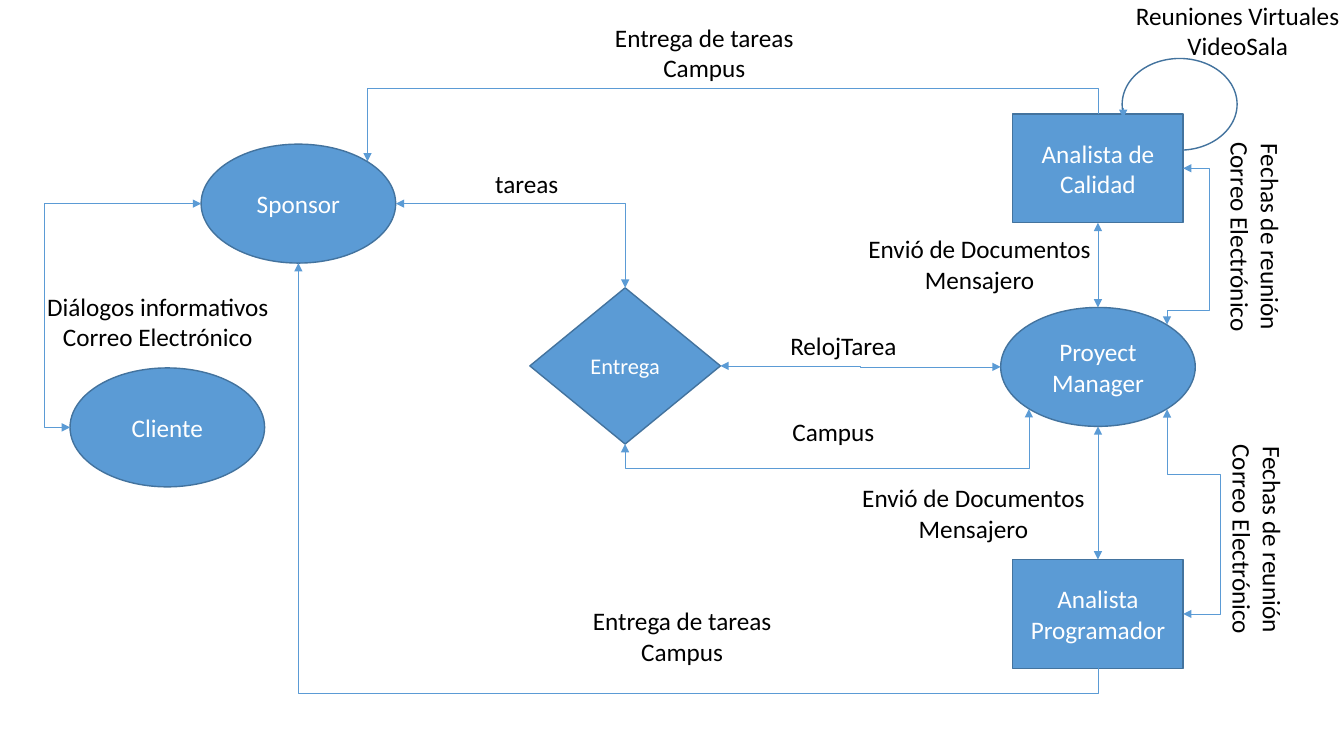
from pptx import Presentation, util as u
from pptx.dml.color import RGBColor
from pptx.enum import shapes, text
from pptx.oxml.ns import qn
from lxml import etree

BLUE, EDGE, WHITE, BLACK = "5B9BD5", "43739E", "FFFFFF", "000000"
OVAL, BOX, GEM = (shapes.MSO_SHAPE.OVAL, shapes.MSO_SHAPE.RECTANGLE,
                  shapes.MSO_SHAPE.DIAMOND)
SIZES = {OVAL: (1.93, 1.18), BOX: (1.69, 1.08), GEM: (1.89, 1.55)}
LOOP = (11.13, 0.58, 1.14, 0.91)
SIDE = 10.89  # centre of the right-hand column

# name: shape, centre x, centre y, text size
NODES = {
    "Sponsor": (OVAL, 2.96, 2.02, 18),
    "Analista de Calidad": (BOX, SIDE, 1.67, 18),
    "Proyect Manager": (OVAL, SIDE, 3.64, 18),
    "Cliente": (OVAL, 1.66, 4.24, 18),
    "Analista Programador": (BOX, SIDE, 6.09, 18),
    "Entrega": (GEM, 6.2, 3.63, 16),
}

# left, top, rotation, lines
LABELS = [
    (4, 1.62, 0, ["tareas"]),
    (5.76, 0.17, 0, ["Entrega de tareas", "Campus"]),
    (5.54, 5.96, 0, ["Entrega de tareas", "Campus"]),
    (7.14, 3.23, 0, ["RelojTarea"]),
    (7.04, 4.08, 0, ["Campus"]),
    (8.49, 2.27, 0, ["Envió de Documentos", "Mensajero"]),
    (8.43, 4.74, 0, ["Envió de Documentos", "Mensajero"]),
    (11.23, 2, 90, ["Fechas de reunión", "Correo Electrónico"]),
    (11.25, 5, 90, ["Fechas de reunión", "Correo Electrónico"]),
    (11.05, -0.05, 0, ["Reuniones Virtuales", "VideoSala"]),
    (0.34, 2.84, 0, ["Diálogos informativos", "Correo Electrónico"]),
]

D = 0.71  # diagonal point of an ellipse, as a share of its radius
PORTS = {"n": (0, -1), "s": (0, 1), "w": (-1, 0), "e": (1, 0),
         "ne": (D, -D), "se": (D, D), "sw": (-D, D)}

# from, port, to, port, bends (alternating x and y; None: straight), two-headed
ROUTES = [
    ("Cliente", "w", "Sponsor", "w", [0.44], True),
    ("Sponsor", "e", "Entrega", "n", [], True),
    ("Entrega", "e", "Proyect Manager", "w", [8.53], True),
    ("Entrega", "s", "Proyect Manager", "sw", [4.65], True),
    ("Analista de Calidad", "n", "Sponsor", "ne", [0.88], False),
    ("Analista Programador", "s", "Sponsor", "s", [6.88], False),
    ("Analista de Calidad", "s", "Proyect Manager", "n", None, True),
    ("Proyect Manager", "s", "Analista Programador", "n", None, True),
    ("Analista de Calidad", "e", "Proyect Manager", "ne", [12, 3.08], True),
    ("Proyect Manager", "se", "Analista Programador", "e", [4.7, 12.1], True),
]


def rgb(code):
    return RGBColor.from_string(code)


def port(name, side):
    """Point where a route meets a node."""
    kind, x, y, _ = NODES[name]
    w, h = SIZES[kind]
    dx, dy = PORTS[side]
    return x + dx * w / 2, y + dy * h / 2


def write(frame, lines, size, color):
    frame.word_wrap = True
    for i, line in enumerate(lines):
        para = frame.paragraphs[0] if i == 0 else frame.add_paragraph()
        para.text = line
        para.alignment = text.PP_ALIGN.CENTER
        para.font.name = "Calibri"
        para.font.size = u.Pt(size)
        para.font.color.rgb = rgb(color)


def draw(slide, kind, box, fill=None):
    shape = slide.shapes.add_shape(kind, *map(u.Inches, box))
    shape.shadow.inherit = False
    if fill:
        shape.fill.solid()
        shape.fill.fore_color.rgb = rgb(fill)
    else:
        shape.fill.background()
    shape.line.color.rgb = rgb(EDGE)
    shape.line.width = u.Pt(1)
    return shape


def link(slide, kind, start, end, both=False):
    """Add a thin arrow, with a second head at its start if both is set."""
    line = slide.shapes.add_connector(kind, *map(u.Inches, (*start, *end)))
    line.line.color.rgb = rgb(BLUE)
    line.line.width = u.Pt(0.5)
    props = line._element.spPr
    for tag in ["a:headEnd"] * both + ["a:tailEnd"]:
        etree.SubElement(props.find(qn("a:ln")), qn(tag), type="triangle")
    etree.SubElement(props, qn("a:effectLst"))
    return props


def bend(slide, start, end, bends, upright, both):
    """Add an elbow arrow; an upright one leaves its start vertically."""
    (x1, y1), (x2, y2) = start, end
    dx, dy = x2 - x1, y2 - y1
    if upright:  # laid out flat around its centre, then turned by 90 degrees
        cx, cy = (x1 + x2) / 2, (y1 + y2) / 2
        start = cx - dy / 2, cy + dx / 2
        end = cx + dy / 2, cy - dx / 2
    props = link(slide, shapes.MSO_CONNECTOR.ELBOW, start, end, both)
    if upright:
        props.find(qn("a:xfrm")).set("rot", str(90 * 60000))
    geom = props.find(qn("a:prstGeom"))
    geom.set("prst", f"bentConnector{len(bends) + 2}")
    guides = geom.find(qn("a:avLst"))
    axes = [(x1, dx), (y1, dy)]
    if upright:
        axes.reverse()
    for i, (at, (base, span)) in enumerate(zip(bends, axes), 1):
        share = round((at - base) / span * 100000)
        etree.SubElement(guides, qn("a:gd"), name=f"adj{i}", fmla=f"val {share}")


def main():
    deck = Presentation()
    deck.slide_width, deck.slide_height = u.Inches(13.33), u.Inches(7.5)
    slide = deck.slides.add_slide(deck.slide_layouts[6])
    straight = shapes.MSO_CONNECTOR.STRAIGHT

    draw(slide, OVAL, LOOP)
    for name, (kind, x, y, size) in NODES.items():
        w, h = SIZES[kind]
        node = draw(slide, kind, (x - w / 2, y - h / 2, w, h), BLUE)
        node.text_frame.vertical_anchor = text.MSO_ANCHOR.MIDDLE
        write(node.text_frame, [name], size, WHITE)

    for first, out, last, into, bends, both in ROUTES:
        start, end = port(first, out), port(last, into)
        if bends is None:
            link(slide, straight, start, end, both)
        else:
            bend(slide, start, end, bends, out not in ("e", "w"), both)
    link(slide, straight, (11.14, 1.07), (11.14, 1.17))

    for x, y, turn, lines in LABELS:
        high = 0.1 + 0.3 * len(lines)
        label = slide.shapes.add_textbox(*map(u.Inches, (x, y, 2.45, high)))
        label.rotation = turn
        write(label.text_frame, lines, 18, BLACK)

    deck.save("out.pptx")


if __name__ == "__main__":
    main()
